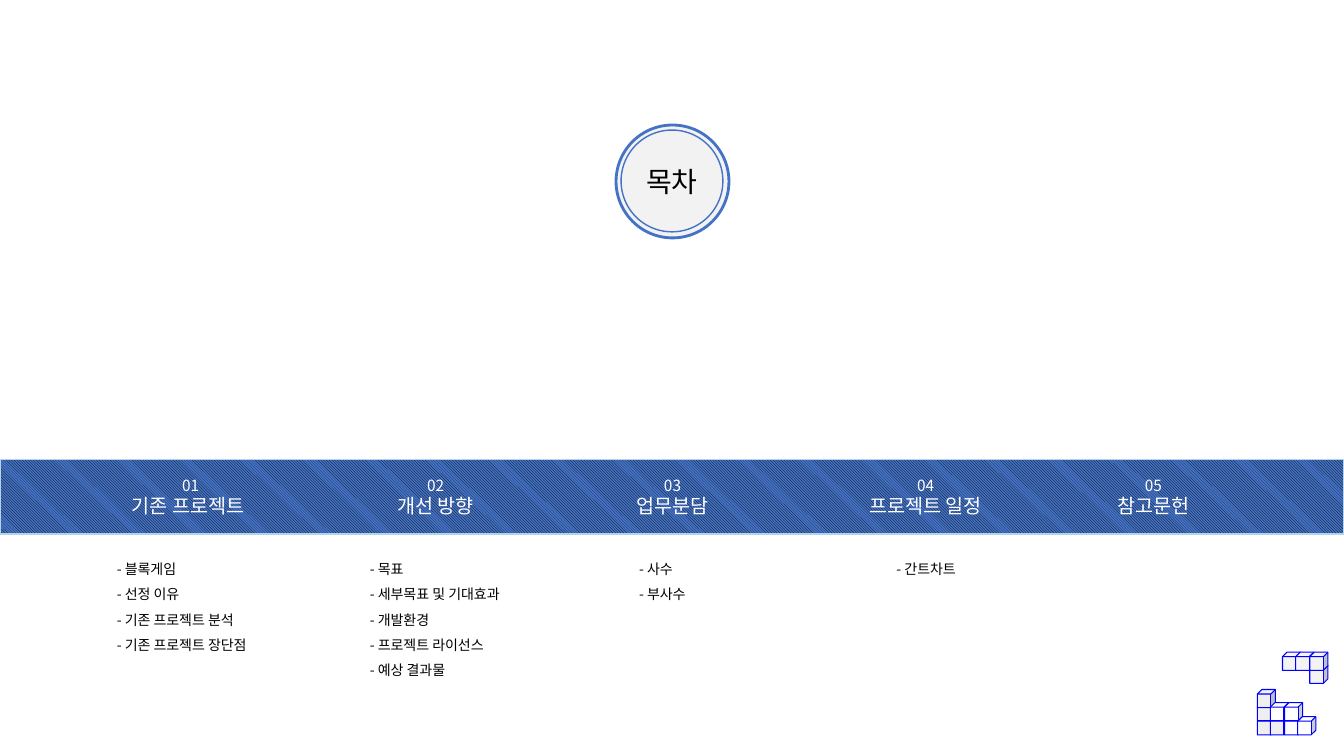
from lxml import etree
from pptx import Presentation
from pptx.dml.color import RGBColor
from pptx.enum import dml, shapes, text
from pptx.oxml import ns
from pptx import util as u

PX = 9144
FONT = "Noto Sans CJK KR"
BLACK = RGBColor(0x00, 0x00, 0x00)
WHITE = RGBColor(0xFF, 0xFF, 0xFF)
BLUE = RGBColor(0x44, 0x72, 0xC4)
SKY = RGBColor(0xB5, 0xD2, 0xEC)
PURE_BLUE = RGBColor(0x00, 0x00, 0xFF)
GREY = RGBColor(0xF2, 0xF2, 0xF2)
CUBE_LIGHT = RGBColor(0xF3, 0xF3, 0xF3)
CUBE_GREY = RGBColor(0xEF, 0xEF, 0xEF)

CENTER = text.PP_ALIGN.CENTER
LEFT = text.PP_ALIGN.LEFT

SECTIONS = [
    (98, "01", "기존 프로젝트 ", (106, 165, 109), LEFT,
     ["블록게임", "선정 이유", "기존 프로젝트 분석", "기존 프로젝트 장단점"]),
    (341, "02", "개선 방향", (357, 150, 134), LEFT,
     ["목표", "세부목표 및 기대효과", "개발환경", "프로젝트 라이선스", "예상 결과물"]),
    (576, "03", "업무분담", (624, 85, 58), LEFT, ["사수", "부사수"]),
    (827, "04", "프로젝트 일정", (836, 165, 58), CENTER, ["간트차트"]),
    (1053, "05", "참고문헌", None, LEFT, []),
]

CUBE_SIZE = 18
CUBE_STEP = 13.5
HOOK = [(0, 0, CUBE_LIGHT), (1, 0, CUBE_LIGHT), (2, 1, CUBE_LIGHT), (2, 0, CUBE_LIGHT)]
STAIRS = [
    (0, 2, CUBE_GREY), (0, 1, CUBE_GREY), (1, 2, CUBE_GREY), (0, 0, CUBE_GREY),
    (1, 1, WHITE), (2, 2, WHITE), (3, 2, WHITE), (2, 1, WHITE),
]


def px(*lengths):
    return [u.Emu(n * PX) for n in lengths]


def set_all(obj, values):
    for name, value in values.items():
        setattr(obj, name, value)


def add_outlined(parent, kind, box, fill, line, width):
    sp = parent.shapes.add_shape(kind, *px(*box))
    sp.shadow.inherit = False
    if fill is not None:
        sp.fill.solid()
        sp.fill.fore_color.rgb = fill
    sp.line.color.rgb = line
    sp.line.width = u.Pt(width)
    return sp


def add_text(parent, box, lines, color, align=CENTER, spacing=None):
    tf = parent.shapes.add_textbox(*px(*box)).text_frame
    set_all(tf, {"word_wrap": True, "auto_size": text.MSO_AUTO_SIZE.SHAPE_TO_FIT_TEXT})
    for i, (words, size) in enumerate(lines):
        p = tf.add_paragraph() if i else tf.paragraphs[0]
        set_all(p, {"alignment": align, "line_spacing": spacing})
        r = p.add_run()
        r.text = words
        r.font.color.rgb = color
        set_all(r.font, {"name": FONT, "size": u.Pt(size)})
        ea = etree.SubElement(r.font._element, ns.qn("a:ea"))
        ea.set("typeface", FONT)


def add_title(s):
    oval = shapes.MSO_SHAPE.OVAL
    add_outlined(s, oval, (611, 124, 112, 112), GREY, BLUE, 2)
    add_outlined(s, oval, (616, 129, 101, 101), GREY, BLUE, 1)
    add_text(s, (616, 158, 101, 44), [("목차", 20)], BLACK)


def add_band(s):
    sp = add_outlined(s, shapes.MSO_SHAPE.RECTANGLE, (0, 456, 1333, 74), None, SKY, 1)
    sp.fill.patterned()
    sp.fill.pattern = dml.MSO_PATTERN.LIGHT_DOWNWARD_DIAGONAL
    sp.fill.fore_color.rgb = BLACK
    sp.fill.back_color.rgb = BLUE


def add_section(s, left, number, name, list_box, align, items):
    group = s.shapes.add_group_shape() if items else s
    add_text(group, (left, 467, 182, 52), [(number, 11), (name, 14)], WHITE)
    if items:
        x, width, height = list_box
        lines = [(f"- {item}", 10) for item in items]
        add_text(group, (x, 543, width, height), lines, BLACK, align, 1.5)


def add_cubes(group, left, top, cells):
    for col, row, fill in cells:
        box = (left + int(col * CUBE_STEP), top + int(row * CUBE_STEP), CUBE_SIZE, CUBE_SIZE)
        sp = add_outlined(group, shapes.MSO_SHAPE.CUBE, box, fill, PURE_BLUE, 0.75)
        sp.adjustments[0] = 0.25


def main():
    prs = Presentation()
    prs.slide_width, prs.slide_height = px(1333, 750)
    s = prs.slides.add_slide(prs.slide_layouts[6])
    add_title(s)
    add_band(s)
    for section in SECTIONS:
        add_section(s, *section)
    blocks = s.shapes.add_group_shape()
    add_cubes(blocks, 1272, 647, HOOK)
    add_cubes(blocks, 1247, 684, STAIRS)
    prs.save("out.pptx")


if __name__ == "__main__":
    main()
